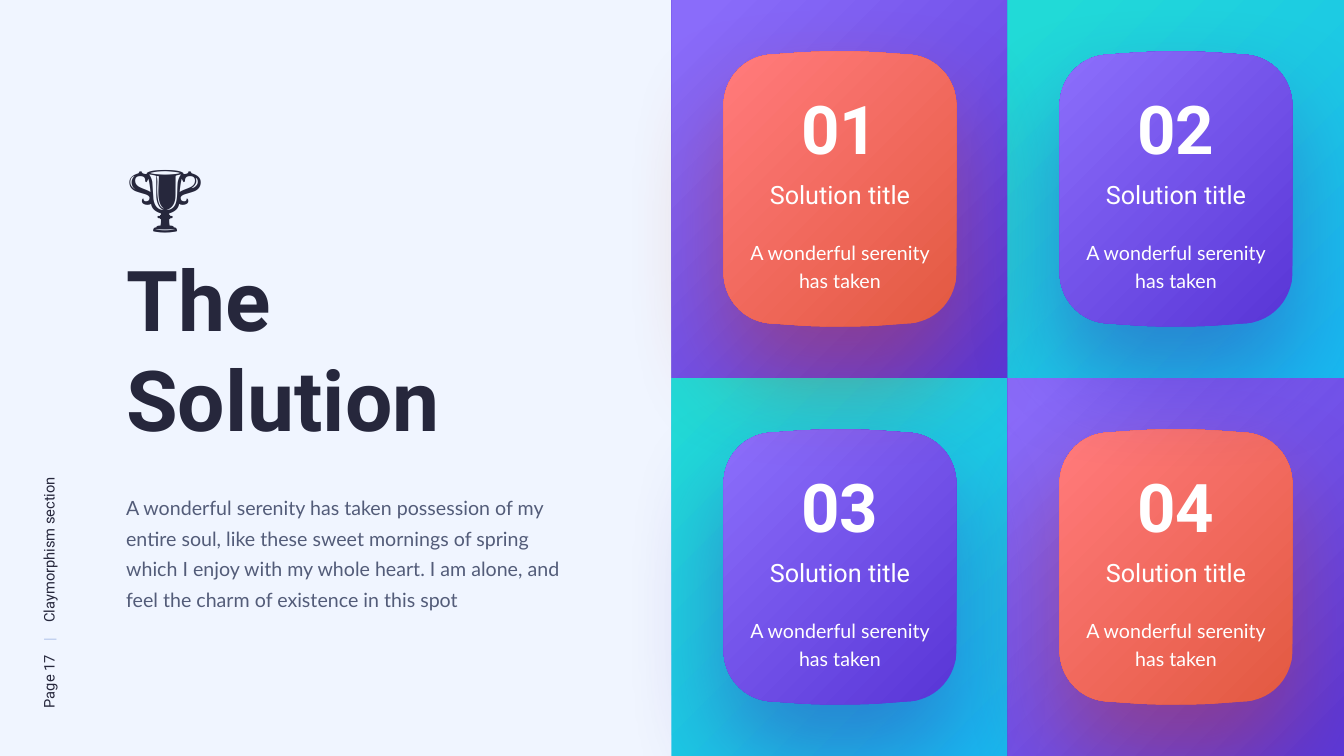
from dataclasses import dataclass
from typing import NamedTuple

from lxml import etree
from pptx import Presentation
from pptx import util as u
from pptx.dml.color import RGBColor
from pptx.enum import shapes, text
from pptx.oxml import ns


class Box(NamedTuple):
    left: int
    top: int
    width: int
    height: int

    def inner(self, left, top, width, height):
        """Return a box whose position is measured from this box's corner."""
        return Box(self.left + left, self.top + top, width, height)


class Clay(NamedTuple):
    light: str
    dark: str
    shadow: str = ""


@dataclass(frozen=True)
class Theme:
    paper: str = "F0F5FF"
    ink: str = "26273C"
    muted: str = "535C79"
    divider: str = "B3C5EA"
    white: str = "FFFFFF"
    violet: Clay = Clay("8A6CFA", "5B38D8", "3F21AB")
    coral: Clay = Clay("FF7979", "E45B44", "C2341C")
    aqua: Clay = Clay("21DAD7", "18BAF0")
    heading_font: str = "Roboto"
    body_font: str = "Lato"
    title_size: float = 60
    number_size: float = 48
    card_title_size: float = 18
    body_size: float = 14
    side_size: float = 10.5


THEME = Theme()
CARDS = [
    [("01", THEME.coral, THEME.violet), ("02", THEME.violet, THEME.aqua)],
    [("03", THEME.violet, THEME.aqua), ("04", THEME.coral, THEME.violet)],
]


def add_span(para, words, size, color=THEME.white, font=THEME.heading_font, bold=False):
    span = para.add_run()
    span.text = words
    span.font.name, span.font.size, span.font.bold = font, u.Pt(size), bold
    span.font.color.rgb = RGBColor.from_string(color)


def add_text(page, box, words, size, align=text.PP_ALIGN.CENTER, spacing=1.0, **style):
    frame = page.shapes.add_textbox(*box).text_frame
    frame.word_wrap = True
    frame.auto_size = text.MSO_AUTO_SIZE.SHAPE_TO_FIT_TEXT
    para = frame.paragraphs[0]
    para.alignment, para.line_spacing = align, spacing
    add_span(para, words, size, **style)


def paint(shape, clay):
    """Fill a shape with a gradient that spreads from its top left corner."""
    shape.line.fill.background()
    shape.shadow.inherit = False
    shape.fill.gradient()
    stops = shape.fill.gradient_stops
    for stop, color, position in zip(stops, (clay.light, clay.dark), (0.05, 0.95)):
        stop.color.rgb = RGBColor.from_string(color)
        stop.position = position
    gradient = shape._element.spPr.find(ns.qn("a:gradFill"))
    gradient.remove(gradient.find(ns.qn("a:lin")))
    circle = etree.SubElement(gradient, ns.qn("a:path"), path="circle")
    etree.SubElement(circle, ns.qn("a:fillToRect"), r="100000", b="100000")


def cast_shadow(shape, color, opacity, blur, distance):
    effects = shape._element.spPr.find(ns.qn("a:effectLst"))
    shadow = etree.SubElement(
        effects, ns.qn("a:outerShdw"), blurRad=str(u.Pt(blur)),
        dist=str(u.Pt(distance)), dir="5400000", algn="t", rotWithShape="0")
    tint = etree.SubElement(shadow, ns.qn("a:srgbClr"), val=color)
    etree.SubElement(tint, ns.qn("a:alpha"), val=str(opacity * 1000))


def round_off(shape):
    """Turn each three line segments of an outline into one Bezier curve."""
    lines = list(shape._element.spPr.iter(ns.qn("a:lnTo")))
    for first in range(0, len(lines), 3):
        bend = etree.Element(ns.qn("a:cubicBezTo"))
        lines[first].addprevious(bend)
        for line in lines[first:first + 3]:
            bend.append(line[0])
            line.getparent().remove(line)


def add_clay_tile(page, box, radius, clay):
    """Draw a soft, slightly bulging tile by mirroring one quarter of its outline."""
    r, middle = radius, box.width / 2
    side = 1.2 * r
    quarter = [
        (0, side), (0, 0.62 * r), (0.42 * r, 0.13 * r), (r, 0.07 * r),
        ((r + middle) / 2, 0.02 * r), ((r + middle) / 2, 0), (middle, 0),
    ]
    half = quarter + [(box.width - x, y) for x, y in reversed(quarter[:-1])]
    low, high = box.height - side, side
    right_side = [(box.width, high), (box.width, low)]
    lower_half = [(x, box.height - y) for x, y in reversed(half)]
    left_side = [(0, low), (0, high), (0, high)]
    outline = half + right_side + lower_half + left_side
    points = [(round(box.left + x), round(box.top + y)) for x, y in outline]
    builder = page.shapes.build_freeform(*points[0])
    builder.add_line_segments(points[1:], close=True)
    tile = builder.convert_to_shape()
    round_off(tile)
    paint(tile, clay)
    cast_shadow(tile, clay.shadow, opacity=40, blur=73, distance=35)


def add_side_label(page, box):
    label = page.shapes.add_textbox(*box)
    label.rotation = 270
    label.text_frame.word_wrap = True
    para = label.text_frame.paragraphs[0]
    tabs = etree.SubElement(para._p.get_or_add_pPr(), ns.qn("a:tabLst"))
    for stop in (1.68, 2.16):
        etree.SubElement(tabs, ns.qn("a:tab"), pos=str(u.Cm(stop)), algn="l")
    for words, color in (("Page 17\t", THEME.ink), ("|\t", THEME.divider),
                         ("Claymorphism section", THEME.ink)):
        add_span(para, words, THEME.side_size, color=color)


def add_intro(page, box):
    """Place the title and the paragraph below it."""
    title = page.shapes.title
    title.left, title.top, title.width, title.height = box.inner(0, 0, box.width, u.Cm(7.95))
    frame = title.text_frame
    frame.word_wrap = True
    frame.auto_size = text.MSO_AUTO_SIZE.NONE
    frame.vertical_anchor = text.MSO_ANCHOR.TOP
    for para, words in ((frame.paragraphs[0], "🏆"), (frame.add_paragraph(), "The Solution")):
        para.alignment, para.line_spacing = text.PP_ALIGN.LEFT, 1.0
        para.space_before = u.Pt(0)
        add_span(para, words, THEME.title_size, color=THEME.ink, bold=True)
    add_text(
        page, box.inner(0, u.Cm(8.64), box.width, u.Cm(3.28)),
        "A wonderful serenity has taken possession of my entire soul, like these sweet "
        "mornings of spring which I enjoy with my whole heart. I am alone, and feel the "
        "charm of existence in this spot",
        THEME.body_size, align=text.PP_ALIGN.LEFT, spacing=1.3,
        color=THEME.muted, font=THEME.body_font)


def add_card(page, box, number, clay):
    add_clay_tile(page, box, u.Cm(1.14), clay)
    inset = u.Cm(0.23)
    width = box.width - 2 * inset
    add_text(page, box.inner(inset, u.Cm(0.77), width, u.Cm(2.31)), number,
             THEME.number_size, bold=True)
    add_text(page, box.inner(inset, u.Cm(3.09), width, u.Cm(1.02)), "Solution title",
             THEME.card_title_size)
    add_text(page, box.inner(0, u.Cm(4.53), box.width, u.Cm(1.63)),
             "A wonderful serenity has taken", THEME.body_size, spacing=1.2,
             font=THEME.body_font)


def add_card_grid(page, box):
    """Fill the box with cells, lower row first so upper shadows fall across it."""
    width, height = box.width // 2, box.height // 2
    margin = u.Cm(1.3)
    for row in (1, 0):
        cells = [box.inner(column * width, row * height, width, height) for column in (0, 1)]
        for cell, (_, _, ground) in zip(cells, CARDS[row]):
            paint(page.shapes.add_shape(shapes.MSO_SHAPE.RECTANGLE, *cell), ground)
        for cell, (number, clay, _) in zip(cells, CARDS[row]):
            card = cell.inner(margin, margin, width - 2 * margin, height - 2 * margin)
            add_card(page, card, number, clay)


def main():
    deck = Presentation()
    deck.slide_width, deck.slide_height = u.Cm(33.87), u.Cm(19.05)
    page = deck.slides.add_slide(deck.slide_layouts[5])
    page.background.fill.solid()
    page.background.fill.fore_color.rgb = RGBColor.from_string(THEME.paper)

    add_side_label(page, Box(u.Cm(-2.82), u.Cm(13.65), u.Cm(8.15), u.Cm(0.74)))
    half = deck.slide_width // 2
    add_card_grid(page, Box(half, 0, half, deck.slide_height))
    add_intro(page, Box(u.Cm(2.93), u.Cm(3.56), u.Cm(11.63), u.Cm(11.92)))
    deck.save("out.pptx")


if __name__ == "__main__":
    main()
